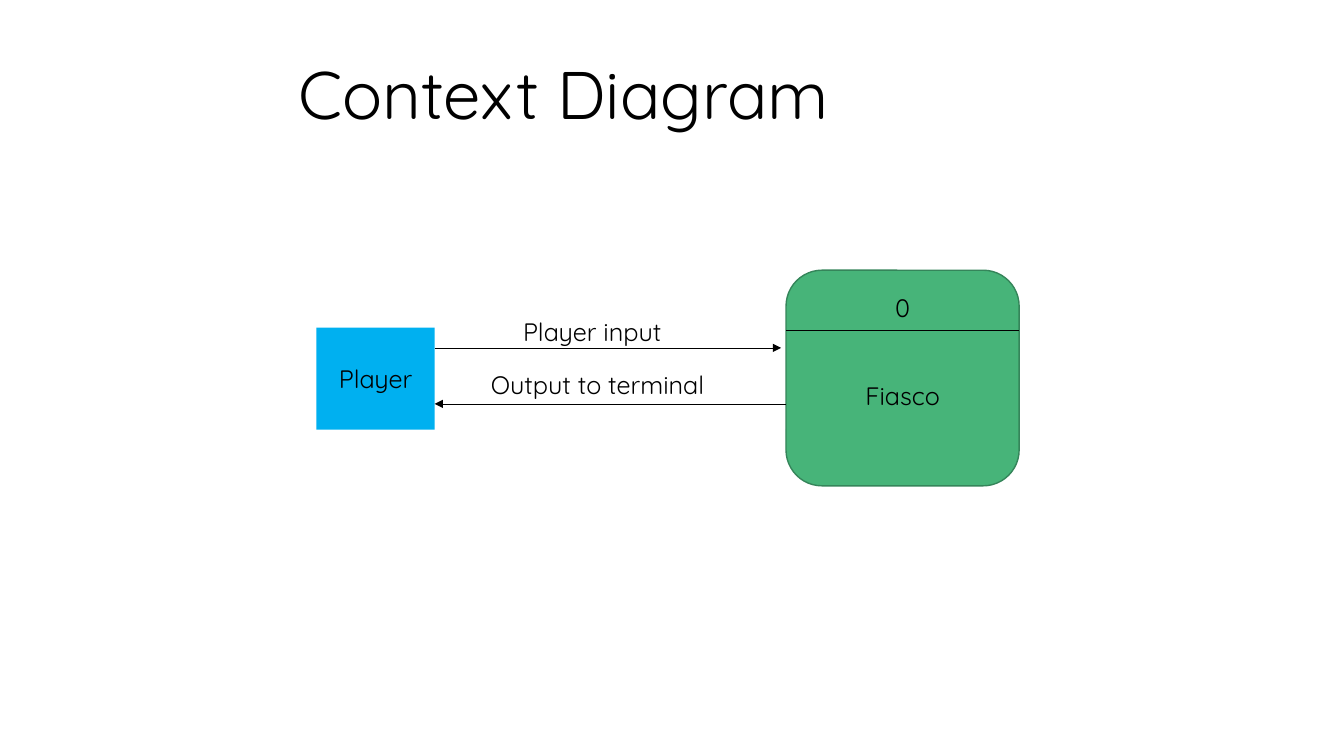
from lxml import etree
from pptx import Presentation
from pptx.dml.color import RGBColor
from pptx.enum.shapes import MSO_CONNECTOR, MSO_SHAPE
from pptx.enum.text import MSO_ANCHOR, PP_ALIGN
from pptx.oxml.ns import qn
from pptx.util import Pt

STRAIGHT = MSO_CONNECTOR.STRAIGHT
RECT, ROUNDED = MSO_SHAPE.RECTANGLE, MSO_SHAPE.ROUNDED_RECTANGLE
MIDDLE = MSO_ANCHOR.MIDDLE
LEFT, CENTER = PP_ALIGN.LEFT, PP_ALIGN.CENTER
COLORS = {"text": "000000", "player": "00B0F0",
          "process": "47B479", "process_edge": "35855A"}
FONT = "Quicksand"


def rgb(name):
    return RGBColor.from_string(COLORS[name])


def write(tf, text, size=18, align=LEFT):
    tf.word_wrap = True
    tf.vertical_anchor = MIDDLE
    p = tf.paragraphs[0]
    p.alignment = align
    r = p.add_run()
    r.text = text
    for name, value in {"name": FONT, "size": Pt(size), "bold": False}.items():
        setattr(r.font, name, value)
    r.font.color.rgb = rgb("text")


def add_label(s, text, x, y, w, h=29, align=LEFT):
    tb = s.shapes.add_textbox(Pt(x), Pt(y), Pt(w), Pt(h))
    write(tb.text_frame, text, align=align)


def add_block(s, kind, box, fill, edge=None):
    sp = s.shapes.add_shape(kind, *map(Pt, box))
    sp.shadow.inherit = False
    sp.fill.solid()
    sp.fill.fore_color.rgb = rgb(fill)
    if edge:
        sp.line.color.rgb = rgb(edge)
        sp.line.width = Pt(1)
    else:
        sp.line.fill.background()
    return sp


def add_line(s, x1, y1, x2, y2, arrow=False):
    line = s.shapes.add_connector(STRAIGHT, Pt(x1), Pt(y1), Pt(x2), Pt(y2))
    line.line.color.rgb = rgb("text")
    line.line.width = Pt(0.5)
    if arrow:
        etree.SubElement(line.line._get_or_add_ln(), qn("a:tailEnd"), type="triangle")
    etree.SubElement(line._element.spPr, qn("a:effectLst"))


def add_title(s, text, x, y, w, h):
    title = s.shapes.title
    title.left, title.top, title.width, title.height = map(Pt, (x, y, w, h))
    write(title.text_frame, text, size=48)


def add_player(s, x, y, w, h):
    sp = add_block(s, RECT, (x, y, w, h), "player")
    write(sp.text_frame, "Player", align=CENTER)


def add_process(s, x, y, w, h):
    """Draw the numbered process, its header rule and its name."""
    header = 43
    add_block(s, ROUNDED, (x, y, w, h), "process", "process_edge")
    add_line(s, x, y + header, x + w, y + header)
    add_label(s, "0", x, y + 12, w, align=CENTER)
    add_label(s, "Fiasco", x, y + 75, w, align=CENTER)


def add_flows(s, x, y, w, h):
    """Draw the input flow along the top and the output flow along the bottom."""
    add_line(s, x, y, x + w - 3.5, y, arrow=True)
    add_line(s, x + w, y + h, x, y + h, arrow=True)
    add_label(s, "Player input", x + 56, y - 26, 190)
    add_label(s, "Output to terminal", x + 33, y + h - 28.5, 190)


def main():
    prs = Presentation()
    prs.slide_width, prs.slide_height = Pt(960), Pt(540)
    s = prs.slides.add_slide(prs.slide_layouts[5])
    player = (226, 234, 84.5, 73)
    process = (561.5, 193, 166.5, 154)
    player_right = player[0] + player[2]
    add_title(s, "Context Diagram", 206, 34, 428, 65)
    add_player(s, *player)
    add_process(s, *process)
    add_flows(s, player_right, 248.5, process[0] - player_right, 40)
    prs.save("out.pptx")


if __name__ == "__main__":
    main()
